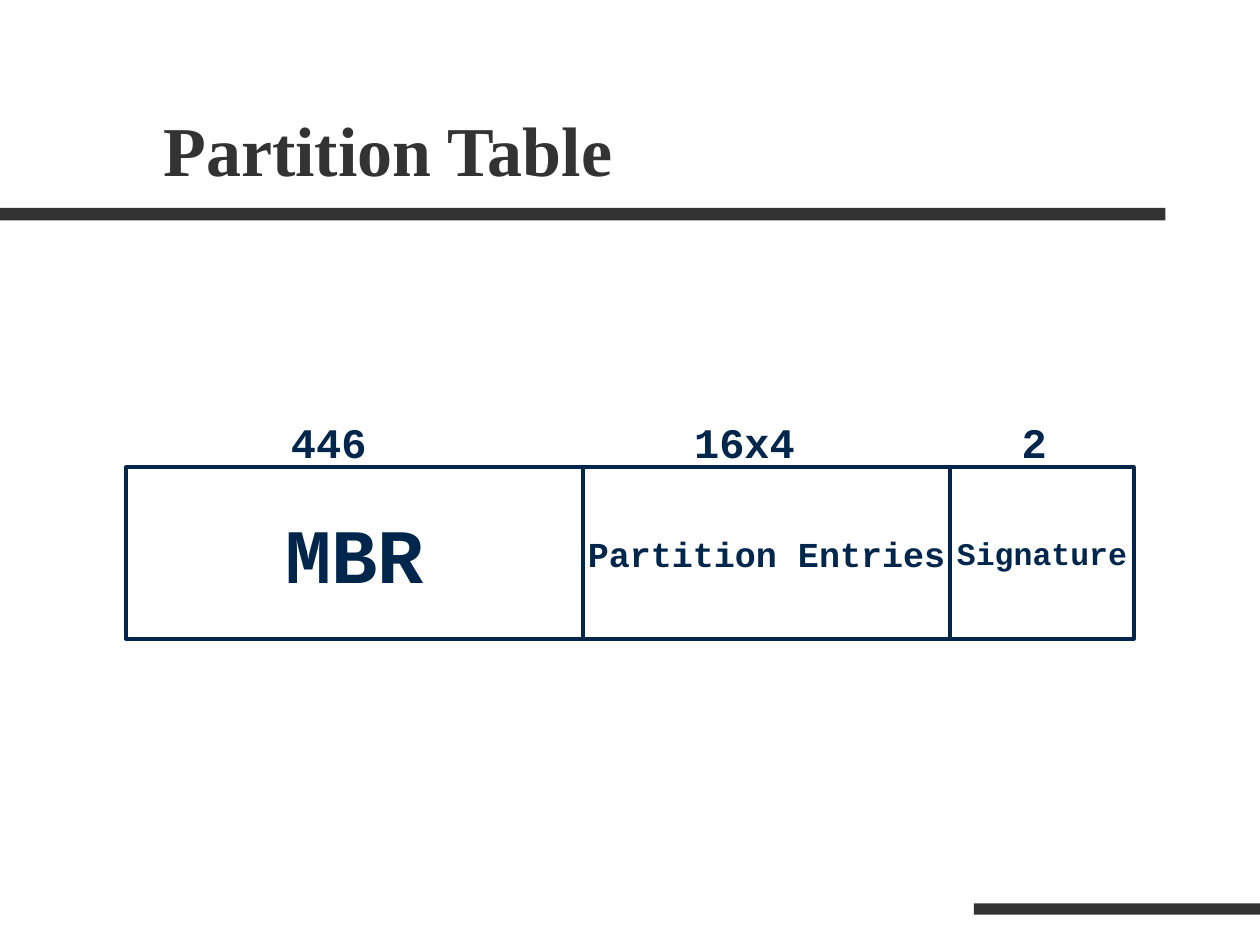
from dataclasses import dataclass

from lxml.etree import SubElement
from pptx import Presentation
from pptx.dml.color import RGBColor
from pptx.enum.shapes import MSO_SHAPE
from pptx.enum.text import MSO_ANCHOR, PP_ALIGN
from pptx.oxml.ns import qn
from pptx.util import Inches, Pt

TITLE = "Partition Table"
# name, width, type size, byte count, tab stop of the count
FIELDS = [
    ("MBR", 3.63, 44, "446", 1.2),
    ("Partition Entries", 2.91, 20, "16x4", 4.4),
    ("Signature", 1.46, 18, "2", 7.0),
]
BARS = [(0, 1.65, 9.25, 0.1), (7.73, 7.17, 2.27, 0.09)]
LEFT, TOP, HIGH = 1, 3.71, 1.36


@dataclass(frozen=True)
class Theme:
    dark = RGBColor(0x33, 0x33, 0x33)
    navy = RGBColor(0x00, 0x26, 0x4C)
    serif = "Times New Roman"
    mono = "Courier New"
    title = 40
    count = 24
    line = 2.25


def place(*box):
    return [Inches(n) for n in box]


def style(para, face, size, color):
    font = para.font
    font.name, font.size, font.bold = face, Pt(size), True
    font.color.rgb = color


def rect(slide, *box):
    shape = slide.shapes.add_shape(MSO_SHAPE.RECTANGLE, *place(*box))
    shape.shadow.inherit = False
    return shape


def label(slide, box, text, face, size, color):
    frame = slide.shapes.add_textbox(*place(*box)).text_frame
    frame.word_wrap = True
    para = frame.paragraphs[0]
    para.text = text
    style(para, face, size, color)
    return frame


def set_tabs(para, stops):
    """Give the paragraph left tab stops, in inches from the text edge."""
    props = para._p.get_or_add_pPr()
    tabs = SubElement(props, qn("a:tabLst"))
    props.insert_element_before(tabs, "a:defRPr", "a:extLst")
    for stop in stops:
        SubElement(tabs, qn("a:tab"), pos=str(Inches(stop)), algn="l")


def add_field(slide, left, name, width, size):
    shape = rect(slide, left, TOP, width, HIGH)
    shape.fill.background()
    shape.line.color.rgb = Theme.navy
    shape.line.width = Pt(Theme.line)
    frame = shape.text_frame
    frame.word_wrap = False
    frame.vertical_anchor = MSO_ANCHOR.MIDDLE
    para = frame.paragraphs[0]
    para.text = name
    para.alignment = PP_ALIGN.CENTER
    style(para, Theme.mono, size, Theme.navy)


def main():
    deck = Presentation()
    deck.slide_width, deck.slide_height = Inches(10), Inches(7.5)
    slide = deck.slides.add_slide(deck.slide_layouts[6])

    for box in BARS:
        bar = rect(slide, *box)
        bar.fill.solid()
        bar.fill.fore_color.rgb = Theme.dark
        bar.line.fill.background()

    head = label(slide, (1.2, 0.31, 8.5, 1.25), TITLE,
                 Theme.serif, Theme.title, Theme.dark)
    head.vertical_anchor = MSO_ANCHOR.BOTTOM

    left = LEFT
    for name, width, size, _, _ in FIELDS:
        add_field(slide, left, name, width, size)
        left += width

    counts = "".join("\t" + field[3] for field in FIELDS)
    row = label(slide, (1.01, 3.26, 8.18, 0.5), counts,
                Theme.mono, Theme.count, Theme.navy)
    para = row.paragraphs[0]
    para.space_before = Pt(4)
    set_tabs(para, [field[4] for field in FIELDS])

    deck.save("out.pptx")


if __name__ == "__main__":
    main()
